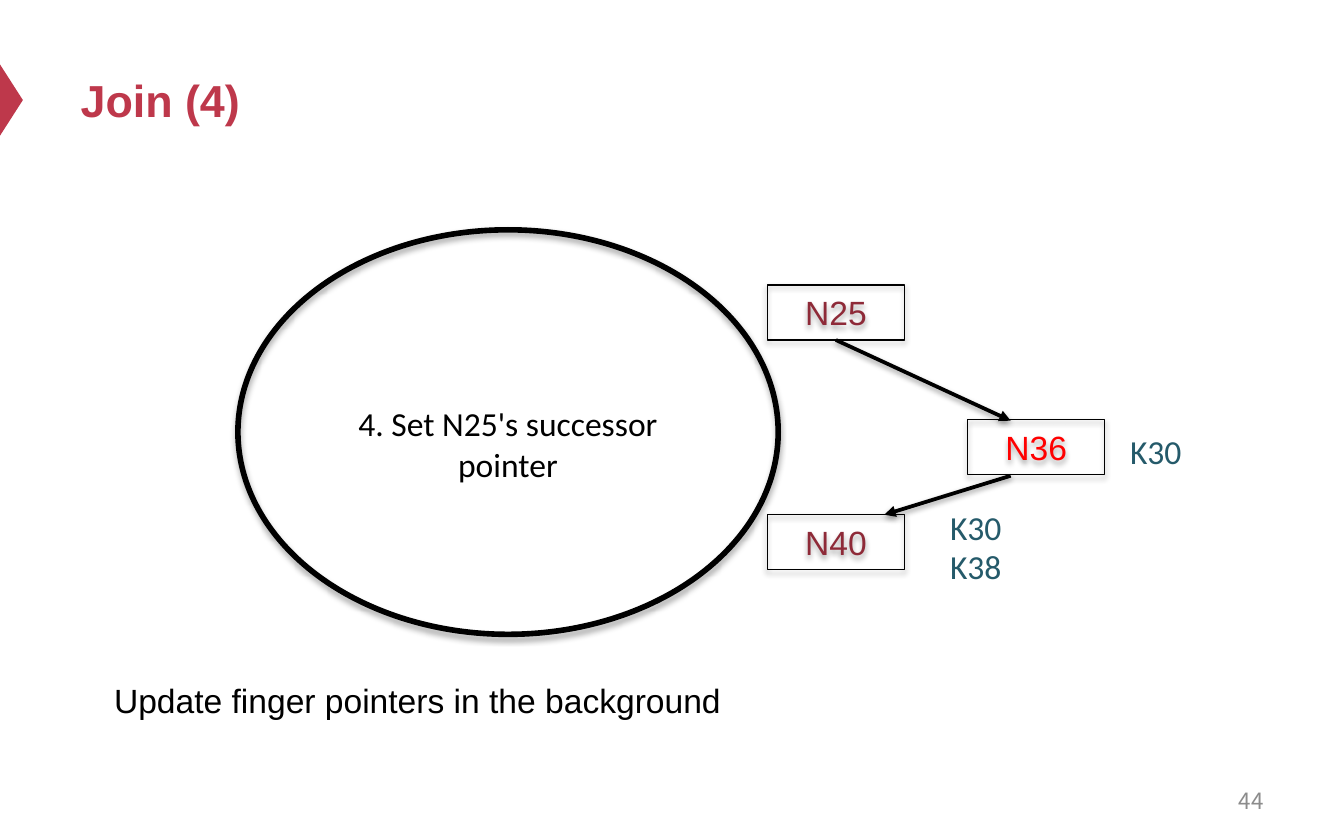
from pptx import Presentation
from pptx.dml.color import RGBColor as Rgb
from pptx.enum.shapes import MSO_CONNECTOR as Link, MSO_SHAPE as Form
from pptx.enum.text import MSO_ANCHOR as Anchor, MSO_AUTO_SIZE as Fit, PP_ALIGN as Align
from pptx.oxml import parse_xml
from pptx.oxml.ns import nsdecls, qn
from pptx.util import Pt

PX = 9144
HUES = {"accent": "BE384B", "ink": "000000", "node": "8E2A38",
        "new": "FF0000", "key": "255A6A", "page": "8C8C8C"}


def px(*nums):
    """Turn px lengths into EMU."""
    return [int(num * PX) for num in nums]


def hue(name):
    """Look up a colour."""
    return Rgb.from_string(HUES[name])


def write(shape, text, size=18, face="Arial", tone="ink", bold=False,
          align=Align.LEFT, **frame):
    """Fill a shape with one formatted paragraph."""
    body = shape.text_frame
    look = {"word_wrap": True, "auto_size": Fit.NONE,
            "vertical_anchor": Anchor.TOP, **frame}
    for key, val in look.items():
        setattr(body, key, val)
    par = body.paragraphs[0]
    par.alignment = align
    run = par.add_run()
    run.text = text
    for key, val in {"size": Pt(size), "name": face, "bold": bold}.items():
        setattr(run.font, key, val)
    run.font.color.rgb = hue(tone)


def label(slide, box, text, **look):
    """Add a text box."""
    write(slide.shapes.add_textbox(*px(*box)), text, **look)


def shade(shape, alpha=35, drop=23000):
    """Give a shape a soft shadow straight below it."""
    props = shape.element.spPr
    for old in props.findall(qn("a:effectLst")):
        props.remove(old)
    props.append(parse_xml(
        f'<a:effectLst {nsdecls("a")}><a:outerShdw blurRad="40000" dist="{drop}" '
        f'dir="5400000" rotWithShape="0"><a:srgbClr val="{HUES["ink"]}">'
        f'<a:alpha val="{alpha * 1000}"/></a:srgbClr></a:outerShdw></a:effectLst>'))


def stroke(shape, width):
    """Draw a black line of the given width."""
    shape.line.color.rgb = hue("ink")
    shape.line.width = Pt(width)


def outline(slide, form, box, width):
    """Add an unfilled shape with a shadow."""
    shape = slide.shapes.add_shape(form, *px(*box))
    shape.fill.background()
    stroke(shape, width)
    shade(shape)
    return shape


def arrow(slide, start, end):
    """Add a line with an arrowhead at its end."""
    line = slide.shapes.add_connector(Link.STRAIGHT, *px(*start, *end))
    stroke(line, 2)
    line.element.spPr.find(qn("a:ln")).append(
        parse_xml(f'<a:tailEnd {nsdecls("a")} type="triangle"/>'))
    shade(line, 38, 20000)


def header(slide, box, text):
    """Place the title and the marker at the slide edge."""
    left, top, wide, high = box
    mark = slide.shapes.add_shape(Form.ISOSCELES_TRIANGLE, *px(left - 68, top + 41, 53, 17))
    mark.rotation = 90
    mark.fill.solid()
    mark.fill.fore_color.rgb = hue("accent")
    mark.line.fill.background()
    mark.shadow.inherit = False
    title = slide.shapes.title
    for key, val in zip(("left", "top", "width", "height"), px(*box)):
        setattr(title, key, val)
    write(title, text, size=24, tone="accent", bold=True, vertical_anchor=Anchor.MIDDLE)


def ring(slide, box):
    """Place the ring, its nodes, pointers and keys."""
    left, top, wide, high = box
    outline(slide, Form.OVAL, (left, top, 402, high), 3)
    label(slide, (left + 71, top + 124, 260, 71), "4. Set N25's successor pointer",
          face="Calibri", align=Align.CENTER)
    for name, x, y, tone in (("N25", 394, 41, "node"), ("N36", 543, 141, "new"),
                             ("N40", 394, 212, "node")):
        node = outline(slide, Form.RECTANGLE, (left + x, top + y, 102, 41), 0.75)
        write(node, name, tone=tone, align=Align.CENTER, vertical_anchor=Anchor.MIDDLE)
    for x, y, to_x, to_y in ((445, 82, 575, 142), (575, 183, 481, 212)):
        arrow(slide, (left + x, top + y), (left + to_x, top + to_y))
    for name, x, y in (("K30", 520, 201), ("K38", 520, 230), ("K30", 654, 145)):
        label(slide, (left + x, top + y, 79, 40), name, face="Calibri", tone="key")


def footer(slide, box, note, page):
    """Place the closing remark and the page number."""
    left, top, wide, high = box
    label(slide, (left, top, 795, 40), note)
    label(slide, (left + wide - 233, top + high - 33, 233, 33), page, size=12,
          face="Noto Sans CJK SC", tone="page", align=Align.RIGHT,
          vertical_anchor=Anchor.MIDDLE)


def main():
    """Build and save the slide."""
    deck = Presentation()
    deck.slide_width, deck.slide_height = px(1000, 625)
    slide = deck.slides.add_slide(deck.slide_layouts[5])
    header(slide, (50, 25, 900, 98), "Join (4)")
    ring(slide, (177, 171, 733, 301))
    footer(slide, (75, 501, 875, 111), "Update finger pointers in the background", "44")
    deck.save("out.pptx")


if __name__ == "__main__":
    main()
